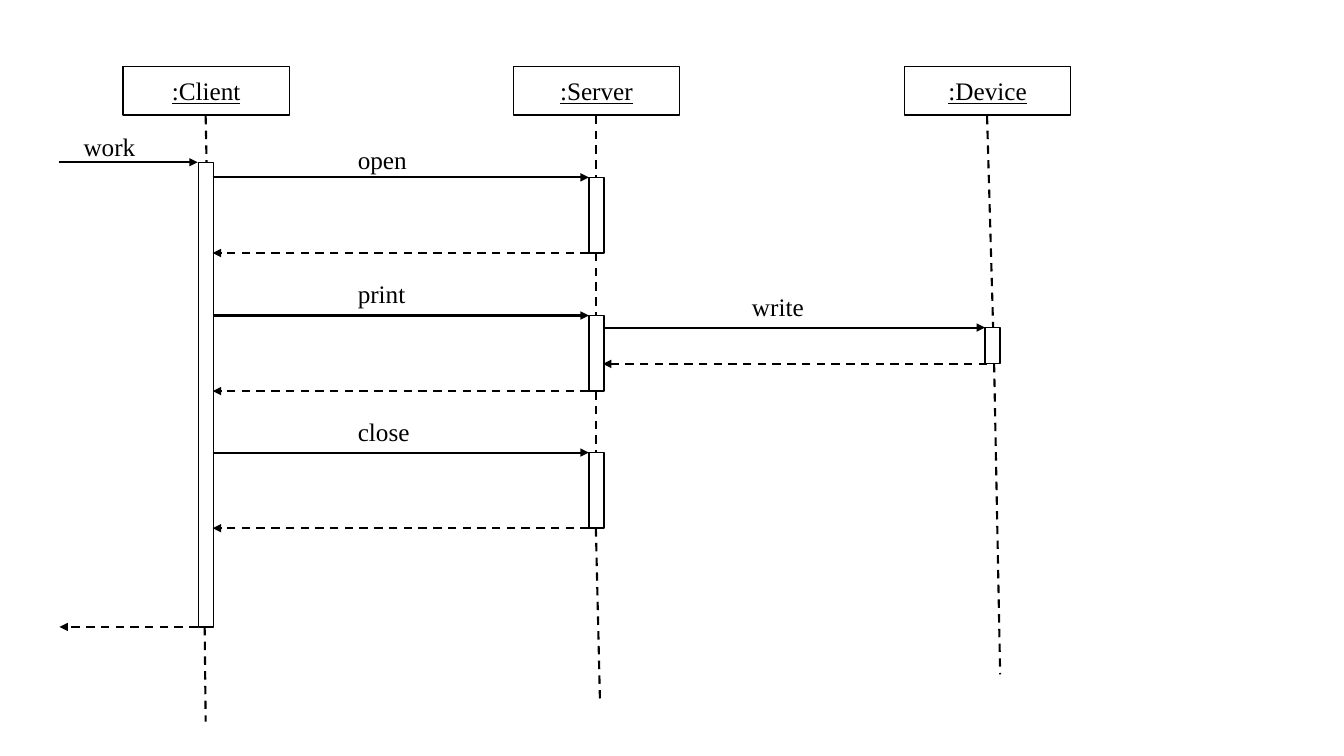
"""Build a sequence diagram of a client, a server and a device."""
import pptx
import pptx.dml.color
import pptx.enum.dml
import pptx.enum.shapes
import pptx.enum.text
import pptx.oxml.ns
import pptx.util
from lxml import etree

Inches = pptx.util.Inches
BLACK = pptx.dml.color.RGBColor(0, 0, 0)
WHITE = pptx.dml.color.RGBColor(255, 255, 255)
FONT = "Times New Roman"
BAR = 0.15


def add_run(frame, text, under=False):
    para = frame.paragraphs[0]
    run = para.add_run()
    run.text = text
    run.font.name = FONT
    run.font.size = pptx.util.Pt(18)
    run.font.color.rgb = BLACK
    if under:
        run.font.underline = True
    return para


def add_box(slide, left, top, width, height):
    box = slide.shapes.add_shape(
        pptx.enum.shapes.MSO_SHAPE.RECTANGLE,
        Inches(left), Inches(top), Inches(width), Inches(height))
    box.shadow.inherit = False
    box.fill.solid()
    box.fill.fore_color.rgb = WHITE
    box.line.color.rgb = BLACK
    box.line.width = pptx.util.Pt(1)
    return box


def add_head(slide, left, name):
    frame = add_box(slide, left, 0.66, 1.65, 0.48).text_frame
    frame.vertical_anchor = pptx.enum.text.MSO_ANCHOR.MIDDLE
    para = add_run(frame, name, under=True)
    para.alignment = pptx.enum.text.PP_ALIGN.CENTER


def add_line(slide, start, end, dash=True, arrow=False):
    line = slide.shapes.add_connector(
        pptx.enum.shapes.MSO_CONNECTOR.STRAIGHT,
        *[Inches(value) for value in (*start, *end)])
    line.line.color.rgb = BLACK
    line.line.width = pptx.util.Pt(1.5)
    if dash:
        line.line.dash_style = pptx.enum.dml.MSO_LINE.DASH
    if arrow:
        tail = etree.SubElement(line.line._get_or_add_ln(),
                                pptx.oxml.ns.qn("a:tailEnd"))
        tail.set("type", "triangle")
    etree.SubElement(line._element.spPr, pptx.oxml.ns.qn("a:effectLst"))


def add_label(slide, left, top, text):
    box = slide.shapes.add_textbox(
        Inches(left), Inches(top), Inches(1.05), Inches(0.42))
    box.text_frame.word_wrap = True
    add_run(box.text_frame, text)


def add_call(slide, name, spot, left, right, top, end, back=None):
    """Draw a labelled call and its dashed reply, which may start at back."""
    add_line(slide, (left, top), (right, top), dash=False, arrow=True)
    add_line(slide, (back or right, end), (left, end), arrow=True)
    add_label(slide, *spot, name)


def main():
    deck = pptx.Presentation()
    deck.slide_width = Inches(13.33)
    deck.slide_height = Inches(7.5)
    slide = deck.slides.add_slide(deck.slide_layouts[6])

    for left, name in ((1.22, ":Client"), (5.09, ":Server"),
                       (8.97, ":Device")):
        add_head(slide, left, name)

    add_line(slide, (2.04, 1.15), (2.05, 1.66))
    add_box(slide, 1.97, 1.61, BAR, 4.61)
    add_line(slide, (2.03, 6.22), (2.04, 7.16))
    add_line(slide, (0.59, 1.61), (1.96, 1.61), dash=False, arrow=True)
    add_line(slide, (1.96, 6.22), (0.59, 6.22), arrow=True)
    add_label(slide, 0.73, 1.25, "work")

    above = 1.15
    for name, top, high in (("open", 1.76, 1.38), ("print", 3.13, 2.71),
                            ("close", 4.49, 4.08)):
        end = top + 0.75
        add_line(slide, (5.91, above), (5.91, top))
        add_box(slide, 5.84, top, BAR, 0.75)
        add_call(slide, name, (3.45, high), 2.11, 5.84, top, end)
        above = end
    add_line(slide, (5.91, above), (5.95, 6.93))

    add_line(slide, (9.79, 1.15), (9.85, 3.25))
    add_box(slide, 9.77, 3.25, BAR, 0.36)
    add_call(slide, "write", (7.36, 2.84), 5.98, 9.77, 3.25, 3.61, 9.79)
    add_line(slide, (9.86, 3.61), (9.92, 6.69))

    deck.save("out.pptx")


if __name__ == "__main__":
    main()
